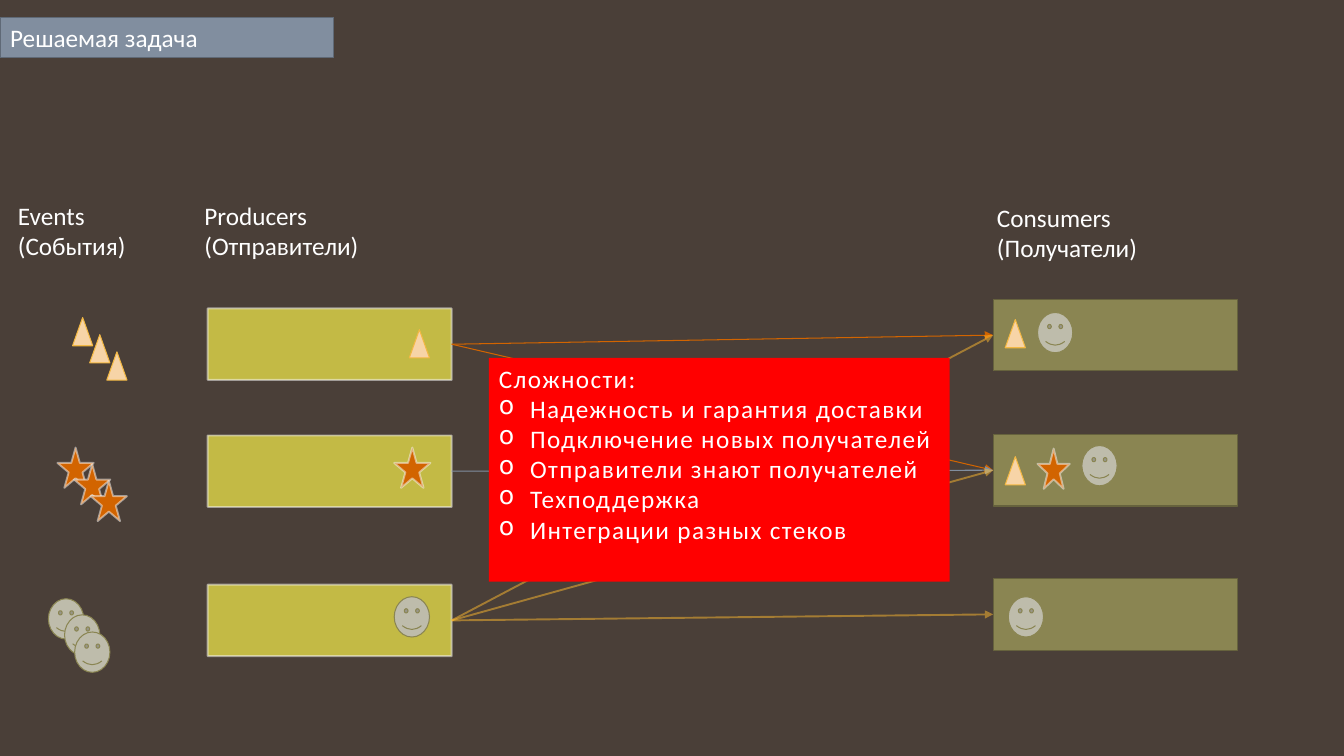
from dataclasses import dataclass

from lxml import etree
from pptx import Presentation
from pptx.dml.color import RGBColor
from pptx.enum import shapes, text
from pptx.oxml import ns
from pptx.util import Inches, Pt

FONT = "Calibri"
WHITE = "FFFFFF"
SHAPE = shapes.MSO_SHAPE


@dataclass(frozen=True)
class Style:
    fill: str
    line: str
    weight: float
    alpha: int = 100


@dataclass(frozen=True)
class Event:
    shape: shapes.MSO_SHAPE
    width: float
    height: float
    style: Style


@dataclass(frozen=True)
class Icon:
    event: Event
    left: float
    top: float


@dataclass(frozen=True)
class Label:
    text: str
    left: float
    top: float
    width: float


@dataclass(frozen=True)
class Route:
    producer: int
    consumer: int
    color: str
    weight: float = 0.75
    alpha: int = 100


TRIANGLE = Event(SHAPE.ISOSCELES_TRIANGLE, 0.2, 0.28, Style("F7D4A7", "F3B843", 0.75))
STAR = Event(SHAPE.STAR_5_POINT, 0.36, 0.4, Style("D26400", "F9F9F9", 1.35, 50))
SMALL_STAR = Event(SHAPE.STAR_5_POINT, 0.32, 0.4, STAR.style)
SMILEY = Event(SHAPE.SMILEY_FACE, 0.35, 0.4, Style("BEBCAB", "8A8552", 0.75))
PRODUCER = Style("C3BA45", "F9F9F9", 1.35, 50)
CONSUMER = Style("8A8552", "66623D", 0.85)

LABELS = [
    Label("Events (События)", 0.08, 1.94, 1.33),
    Label("Producers (Отправители)", 1.93, 1.94, 2.54),
    Label("Consumers (Получатели)", 9.79, 1.96, 2.54),
]
EVENT_ICONS = [
    *[Icon(TRIANGLE, 0.72 + 0.17 * i, 3.15 + 0.17 * i) for i in range(3)],
    *[Icon(STAR, 0.57 + 0.165 * i, 4.44 + 0.165 * i) for i in range(3)],
    Icon(SMILEY, 0.48, 5.94), Icon(SMILEY, 0.64, 6.1), Icon(SMILEY, 0.74, 6.27),
]
PRODUCER_TOPS = [3.06, 4.32, 5.8]
PRODUCER_ICONS = [Icon(TRIANGLE, 4.06, 3.27), Icon(STAR, 3.91, 4.44), Icon(SMILEY, 3.91, 5.92)]
CONSUMER_TOPS = [2.97, 4.31, 5.74]
CONSUMER_ICONS = [
    Icon(TRIANGLE, 9.97, 3.17), Icon(SMILEY, 10.29, 3.1),
    Icon(TRIANGLE, 9.97, 4.53), Icon(SMALL_STAR, 10.29, 4.45), Icon(SMILEY, 10.73, 4.42),
    Icon(SMILEY, 10, 5.92),
]
ROUTES = [
    Route(0, 0, "D26400"), Route(0, 1, "D26400"), Route(1, 1, "818E9F"),
    *[Route(2, consumer, "FFBA30", 1.35, 50) for consumer in range(3)],
]
PROBLEMS = [
    "Надежность и гарантия доставки",
    "Подключение новых получателей",
    "Отправители знают получателей",
    "Техподдержка",
    "Интеграции разных стеков",
]


def rgb(color: str) -> RGBColor:
    return RGBColor.from_string(color)


def set_fill(shape, color: str) -> None:
    shape.fill.solid()
    shape.fill.fore_color.rgb = rgb(color)


def set_line(shape, color: str, weight: float, alpha: int = 100) -> None:
    shape.line.color.rgb = rgb(color)
    shape.line.width = Pt(weight)
    if alpha < 100:
        color_element = shape.line._ln.find(".//" + ns.qn("a:srgbClr"))
        etree.SubElement(color_element, ns.qn("a:alpha"), val=str(alpha * 1000))


def set_font(paragraph) -> None:
    paragraph.alignment = text.PP_ALIGN.LEFT
    paragraph.font.name = FONT
    paragraph.font.size = Pt(18)
    paragraph.font.color.rgb = rgb(WHITE)


def add_shape(slide, kind, left: float, top: float, width: float, height: float, style: Style):
    shape = slide.shapes.add_shape(kind, Inches(left), Inches(top), Inches(width), Inches(height))
    shape.shadow.inherit = False
    set_fill(shape, style.fill)
    set_line(shape, style.line, style.weight, style.alpha)
    return shape


def add_icon(slide, icon: Icon) -> None:
    event = icon.event
    add_shape(slide, event.shape, icon.left, icon.top, event.width, event.height, event.style)


def add_column(slide, left: float, tops: list[float], style: Style) -> list:
    return [add_shape(slide, SHAPE.RECTANGLE, left, top, 2.42, 0.71, style) for top in tops]


def add_label(slide, label: Label) -> None:
    box = slide.shapes.add_textbox(
        Inches(label.left), Inches(label.top), Inches(label.width), Inches(0.71))
    box.text_frame.word_wrap = True
    paragraph = box.text_frame.paragraphs[0]
    paragraph.text = label.text
    set_font(paragraph)


def add_route(slide, route: Route, producers: list, consumers: list) -> None:
    connector = slide.shapes.add_connector(shapes.MSO_CONNECTOR.STRAIGHT, 0, 0, 0, 0)
    connector.begin_connect(producers[route.producer], 3)
    connector.end_connect(consumers[route.consumer], 1)
    set_line(connector, route.color, route.weight, route.alpha)
    etree.SubElement(connector.line._ln, ns.qn("a:tailEnd"), type="triangle")
    etree.SubElement(connector._element.spPr, ns.qn("a:effectLst"))


def set_title(slide) -> None:
    title = slide.shapes.title
    title.left, title.top, title.width, title.height = map(Inches, (0, 0.17, 3.31, 0.4))
    set_fill(title, "818E9F")
    set_line(title, "5F6976", 0.85)
    frame = title.text_frame
    frame.text = "Решаемая задача"
    frame.auto_size = text.MSO_AUTO_SIZE.NONE
    frame.vertical_anchor = text.MSO_ANCHOR.MIDDLE
    set_font(frame.paragraphs[0])


def add_problems(slide) -> None:
    box = slide.shapes.add_textbox(Inches(4.85), Inches(3.55), Inches(4.57), Inches(2.22))
    set_fill(box, "FF0000")
    frame = box.text_frame
    frame.word_wrap = True
    frame.text = "\n".join(["Сложности:", *PROBLEMS])
    for index, paragraph in enumerate(frame.paragraphs):
        properties = paragraph._p.get_or_add_pPr()
        if index:
            properties.set("marL", str(Inches(0.31)))
            properties.set("indent", str(-Inches(0.31)))
            etree.SubElement(properties, ns.qn("a:buChar"), char="o")
        set_font(paragraph)
        properties.find(ns.qn("a:defRPr")).set("spc", "100")


def main() -> None:
    presentation = Presentation()
    presentation.slide_width = Inches(13.33)
    presentation.slide_height = Inches(7.5)
    slide = presentation.slides.add_slide(presentation.slide_layouts[5])
    set_fill(slide.background, "4A3F38")

    # Title and column headings
    set_title(slide)
    for label in LABELS:
        add_label(slide, label)

    # Producers and consumers with their routes
    producers = add_column(slide, 2.06, PRODUCER_TOPS, PRODUCER)
    consumers = add_column(slide, 9.85, CONSUMER_TOPS, CONSUMER)
    for route in ROUTES:
        add_route(slide, route, producers, consumers)

    # Events
    for icon in EVENT_ICONS + PRODUCER_ICONS + CONSUMER_ICONS:
        add_icon(slide, icon)

    # Problems on top of the routes
    add_problems(slide)
    presentation.save("out.pptx")


if __name__ == "__main__":
    main()
